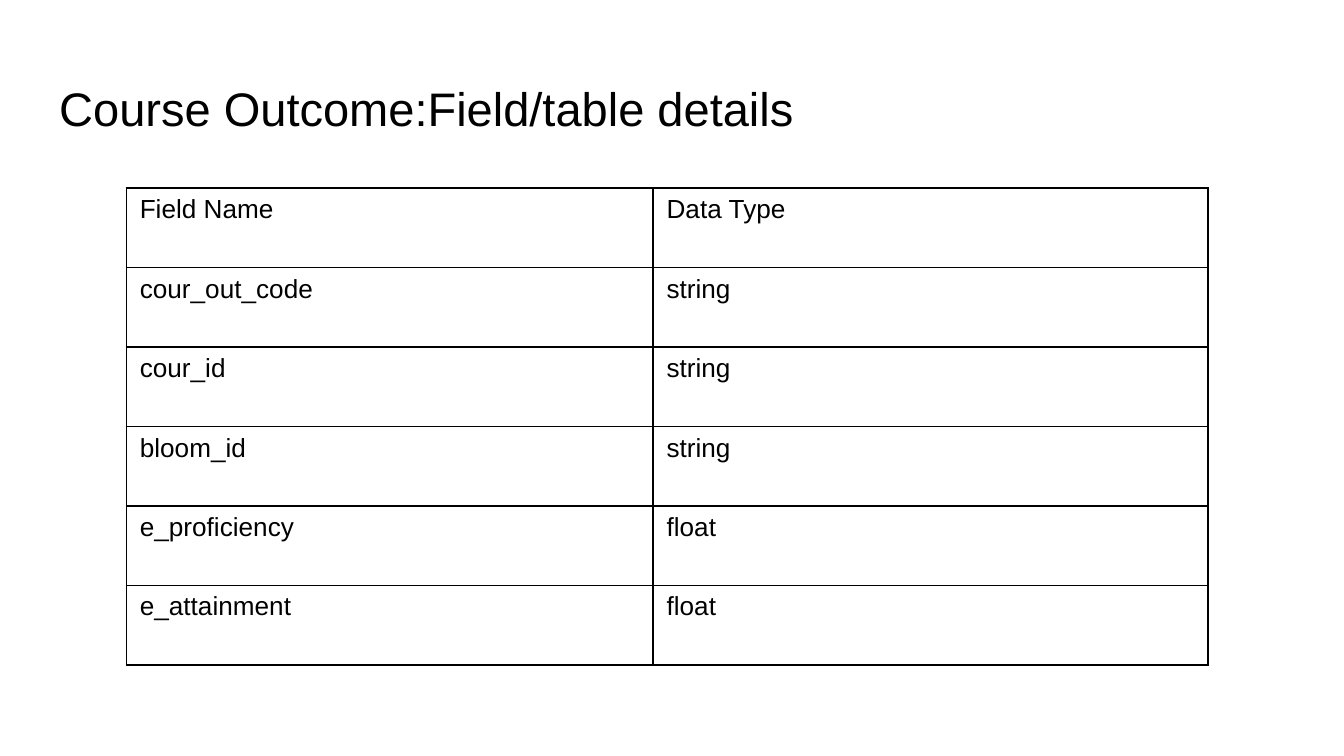
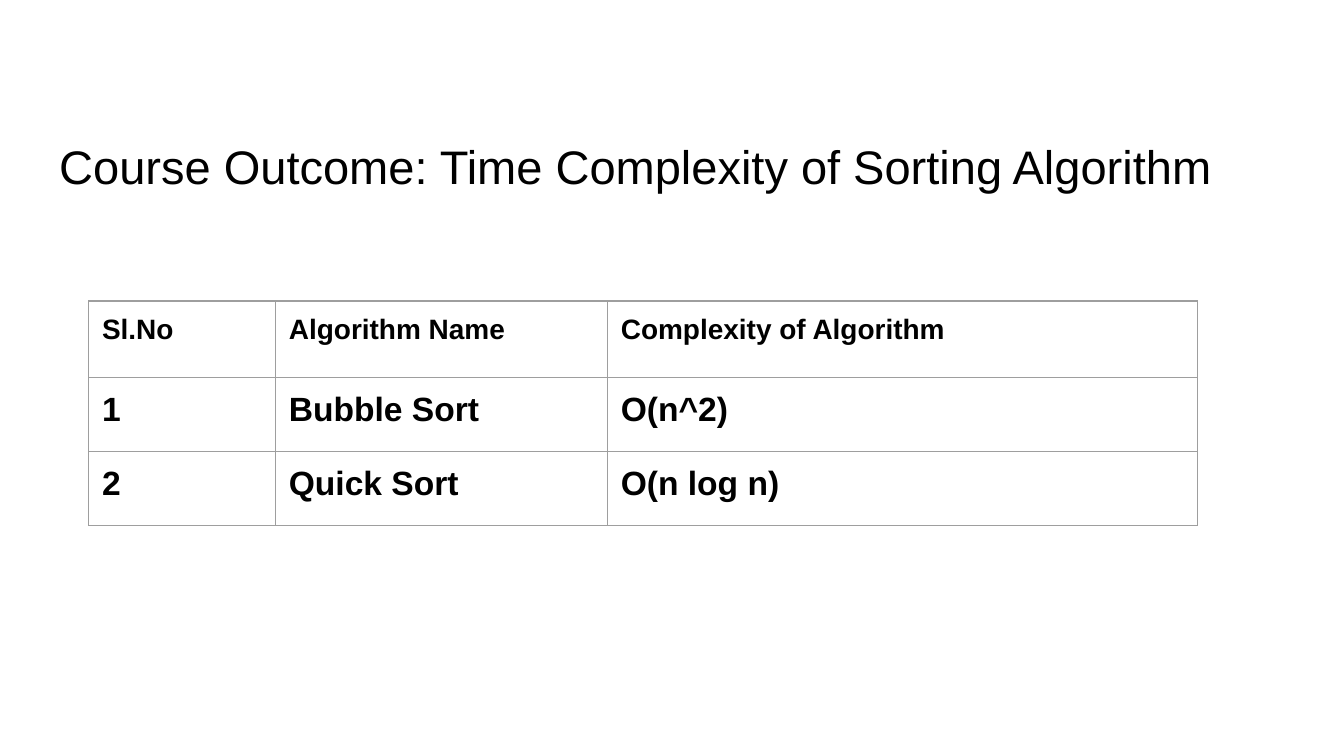
from lxml import etree
from pptx import Presentation
from pptx.dml.color import RGBColor
from pptx.enum.text import MSO_ANCHOR, MSO_AUTO_SIZE, PP_ALIGN
from pptx.oxml.ns import qn
from pptx.util import Inches, Pt

TOP = MSO_ANCHOR.TOP
LEFT = PP_ALIGN.LEFT
NO_AUTOFIT = MSO_AUTO_SIZE.NONE

FONT = "Arial"
BLACK = RGBColor(0x00, 0x00, 0x00)
GREY = RGBColor(0x9E, 0x9E, 0x9E)
WHITE = RGBColor(0xFF, 0xFF, 0xFF)
PAD = Inches(0.1)


def style_text(tf, size, bold=False):
    p = tf.paragraphs[0]
    p.alignment = LEFT
    for r in p.runs:
        r.font.name = FONT
        r.font.size = Pt(size)
        r.font.bold = bold
        r.font.color.rgb = BLACK


def set_borders(cell, color, width):
    tcPr = cell._tc.get_or_add_tcPr()
    for i, side in enumerate(("lnL", "lnR", "lnT", "lnB")):
        ln = etree.Element(qn(f"a:{side}"), w=str(Pt(width)))
        fill = etree.SubElement(ln, qn("a:solidFill"))
        etree.SubElement(fill, qn("a:srgbClr"), val=str(color))
        tcPr.insert(i, ln)


SLIDES = [
    {
        "title": "Course Outcome:Field/table details",
        "title_top": 0.49,
        "left": 0.94, "top": 1.4,
        "cols": [3.92, 4.13],
        "heights": [3.55 / 6] * 6,
        "sizes": [14] * 6,
        "bold": False,
        "pad_y": Inches(0.05),
        "border": (BLACK, 1),
        "rows": [
            ("Field Name", "Data Type"),
            ("cour_out_code", "string"),
            ("cour_id", "string"),
            ("bloom_id", "string"),
            ("e_proficiency", "float"),
            ("e_attainment", "float"),
        ],
    },
    {
        "title": "Course Outcome: Time Complexity of Sorting Algorithm",
        "title_top": 0.92,
        "left": 0.66, "top": 2.24,
        "cols": [1.39, 2.47, 4.39],
        "heights": [0.57, 0.55, 0.55],
        "sizes": [15, 18, 18],
        "bold": True,
        "pad_y": PAD,
        "border": (GREY, 0.75),
        "rows": [
            ("Sl.No", "Algorithm Name", "Complexity of Algorithm"),
            ("1", "Bubble Sort", "O(n^2)"),
            ("2", "Quick Sort", "O(n log n)"),
        ],
    },
]

prs = Presentation()
prs.slide_width = Inches(10)
prs.slide_height = Inches(10 * 9 / 16)

for data in SLIDES:
    s = prs.slides.add_slide(prs.slide_layouts[5])
    s.background.fill.solid()
    s.background.fill.fore_color.rgb = WHITE

    title = s.shapes.title
    title.left, title.top = Inches(0.34), Inches(data["title_top"])
    title.width, title.height = Inches(9.32), Inches(0.63)
    tf = title.text_frame
    tf.text = data["title"]
    tf.word_wrap = True
    tf.auto_size = NO_AUTOFIT
    tf.vertical_anchor = TOP
    tf.margin_left = tf.margin_right = tf.margin_top = tf.margin_bottom = PAD
    style_text(tf, 25.2)

    rows, cols, heights = data["rows"], data["cols"], data["heights"]
    table = s.shapes.add_table(
        len(rows), len(cols), Inches(data["left"]), Inches(data["top"]),
        Inches(sum(cols)), Inches(sum(heights))).table
    table.first_row = False
    table.horz_banding = False
    for column, width in zip(table.columns, cols):
        column.width = Inches(width)

    for row, height, size, texts in zip(table.rows, heights, data["sizes"], rows):
        row.height = Inches(height)
        for cell, text in zip(row.cells, texts):
            cell.text = text
            cell.vertical_anchor = TOP
            cell.margin_left = cell.margin_right = PAD
            cell.margin_top = cell.margin_bottom = data["pad_y"]
            cell.fill.background()
            set_borders(cell, *data["border"])
            style_text(cell.text_frame, size, data["bold"])

prs.save("out.pptx")
